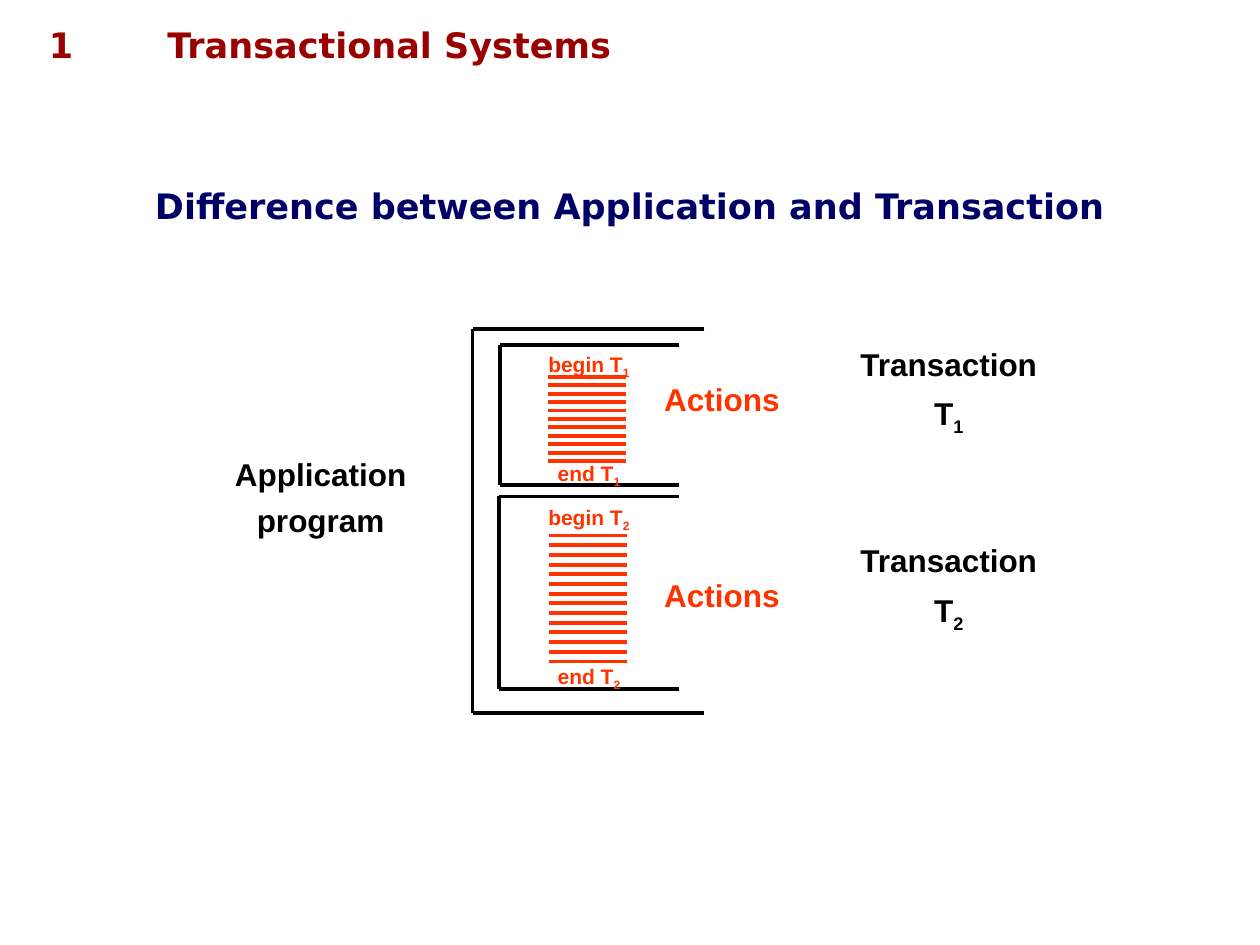
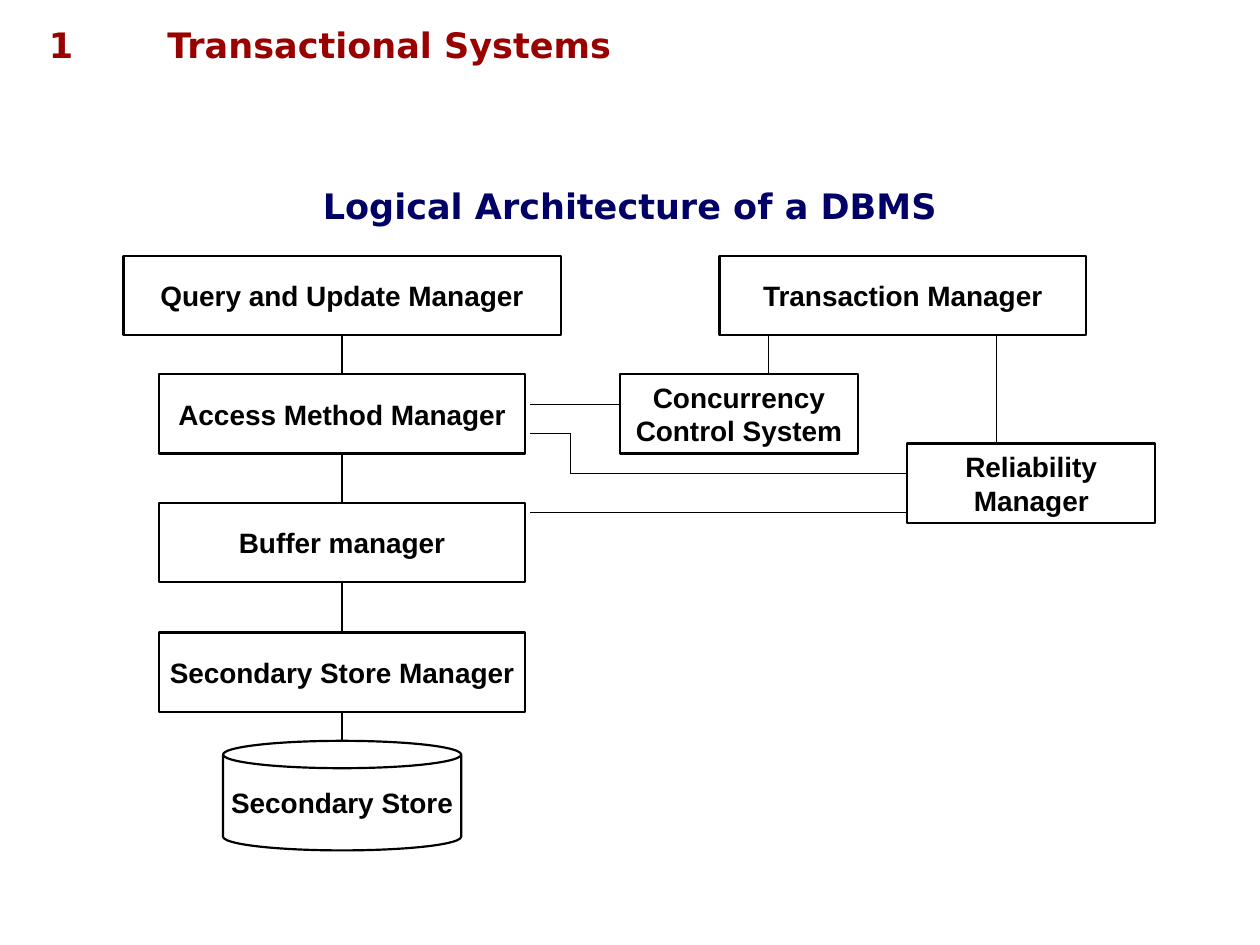
from dataclasses import dataclass

import pptx
import pptx.dml.color
import pptx.enum.shapes
import pptx.enum.text
import pptx.oxml
import pptx.oxml.ns
import pptx.presentation
import pptx.shapes.autoshape
import pptx.shapes.connector
import pptx.slide
import pptx.text.text
import pptx.util

Inches = pptx.util.Inches
RGBColor = pptx.dml.color.RGBColor
Align = pptx.enum.text.PP_ALIGN
Anchor = pptx.enum.text.MSO_ANCHOR
Preset = pptx.enum.shapes.MSO_SHAPE

BLACK = RGBColor(0x00, 0x00, 0x00)
DARK_RED = RGBColor(0x99, 0x00, 0x00)
NAVY = RGBColor(0x00, 0x00, 0x66)
ORANGE = RGBColor(0xFF, 0x33, 0x00)

HEADING_FONT = "DejaVu Sans"
BODY_FONT = "Arial"
BOTTOM, TOP = 2, 0


@dataclass(frozen=True)
class TextStyle:
    font: str
    size: float
    color: RGBColor
    align: Align = Align.CENTER
    line_spacing: float = 1.0
    space_before: float = 0


HEADER = TextStyle(HEADING_FONT, 20, DARK_RED, Align.LEFT)
CHAPTER = TextStyle(HEADING_FONT, 20, DARK_RED)
TITLE = TextStyle(HEADING_FONT, 20, NAVY)
LABEL = TextStyle(BODY_FONT, 18, BLACK, line_spacing=0.9, space_before=6.8)
ACTIONS = TextStyle(BODY_FONT, 18, ORANGE, line_spacing=0.9)
MARKER = TextStyle(BODY_FONT, 12, ORANGE, line_spacing=0.9)
COMPONENT = TextStyle(BODY_FONT, 16, BLACK)


@dataclass(frozen=True)
class Box:
    left: float
    top: float
    width: float
    height: float


@dataclass(frozen=True)
class Bracket:
    left: float
    top: float
    right: float
    bottom: float


@dataclass(frozen=True)
class ActionLines:
    left: float
    first: float
    last: float
    count: int


@dataclass(frozen=True)
class Transaction:
    number: int
    bracket: Bracket
    begin_top: float
    end_top: float
    lines: ActionLines
    actions_top: float
    label_top: float


@dataclass(frozen=True)
class Component:
    text: str
    box: Box
    preset: Preset = Preset.RECTANGLE


@dataclass(frozen=True)
class Line:
    x1: float
    y1: float
    x2: float
    y2: float


PROGRAM = Bracket(3.75, 2.61, 5.59, 5.66)
TRANSACTIONS = (
    Transaction(1, Bracket(3.97, 2.74, 5.39, 3.85), 2.74, 3.61,
                ActionLines(4.35, 2.99, 3.66, 11), 3.0, 2.72),
    Transaction(2, Bracket(3.96, 3.94, 5.39, 5.47), 3.96, 5.22,
                ActionLines(4.36, 4.25, 5.25, 14), 4.56, 4.28),
)

STACK = (
    Component("Query and Update Manager", Box(0.98, 2.03, 3.47, 0.63)),
    Component("Access Method Manager", Box(1.26, 2.97, 2.91, 0.63)),
    Component("Buffer manager", Box(1.26, 3.99, 2.91, 0.63)),
    Component("Secondary Store Manager", Box(1.26, 5.02, 2.91, 0.63)),
    Component("Secondary Store", Box(1.77, 5.88, 1.89, 0.87), Preset.CAN),
)
CONTROL = (
    Component("Transaction Manager", Box(5.71, 2.03, 2.91, 0.63)),
    Component("Concurrency\nControl System", Box(4.92, 2.97, 1.89, 0.63)),
    Component("Reliability\nManager", Box(7.2, 3.52, 1.97, 0.63)),
)
CONTROL_LINES = (
    Line(6.1, 2.66, 6.1, 2.97),
    Line(7.91, 2.66, 7.91, 3.52),
    Line(4.21, 3.21, 4.92, 3.21),
    Line(4.21, 3.44, 4.53, 3.44),
    Line(4.53, 3.44, 4.53, 3.76),
    Line(4.53, 3.76, 7.2, 3.76),
    Line(4.21, 4.07, 7.2, 4.07),
)


def write_text(frame: pptx.text.text.TextFrame, text: str, style: TextStyle) -> None:
    for index, line in enumerate(text.split("\n")):
        paragraph = frame.add_paragraph() if index else frame.paragraphs[0]
        paragraph.alignment = style.align
        paragraph.line_spacing = style.line_spacing
        if index:
            paragraph.space_before = pptx.util.Pt(style.space_before)
        base, _, subscript = line.partition("_")
        paragraph.add_run().text = base
        if subscript:
            run = paragraph.add_run()
            run.text = subscript
            run._r.get_or_add_rPr().set("baseline", "-25000")
        font = paragraph.font
        font.name = style.font
        font.size = pptx.util.Pt(style.size)
        font.bold = True
        font.color.rgb = style.color


def add_text(slide: pptx.slide.Slide, box: Box, text: str,
             style: TextStyle) -> pptx.text.text.TextFrame:
    shape = slide.shapes.add_textbox(
        Inches(box.left), Inches(box.top), Inches(box.width), Inches(box.height))
    frame = shape.text_frame
    frame.word_wrap = True
    write_text(frame, text, style)
    return frame


def add_line(slide: pptx.slide.Slide, line: Line, width: float,
             color: RGBColor = BLACK) -> pptx.shapes.connector.Connector:
    connector = slide.shapes.add_connector(
        pptx.enum.shapes.MSO_CONNECTOR.STRAIGHT,
        Inches(line.x1), Inches(line.y1), Inches(line.x2), Inches(line.y2))
    connector.line.color.rgb = color
    connector.line.width = pptx.util.Pt(width)
    properties = connector._element.spPr
    properties.append(pptx.oxml.parse_xml(
        f"<a:effectLst {pptx.oxml.ns.nsdecls('a')}/>"))
    return connector


def add_bracket(slide: pptx.slide.Slide, bracket: Bracket) -> None:
    left, top, right, bottom = bracket.left, bracket.top, bracket.right, bracket.bottom
    add_line(slide, Line(right, top, left, top), 2)
    add_line(slide, Line(left, top, left, bottom), 2)
    add_line(slide, Line(left, bottom, right, bottom), 2)


def add_transaction(slide: pptx.slide.Slide, transaction: Transaction) -> None:
    number = transaction.number
    add_bracket(slide, transaction.bracket)
    for word, top in (("begin", transaction.begin_top), ("end", transaction.end_top)):
        add_text(slide, Box(3.94, top, 1.47, 0.31), f"{word} T_{number}", MARKER)
    lines = transaction.lines
    pitch = (lines.last - lines.first) / (lines.count - 1)
    for index in range(lines.count):
        y = lines.first + index * pitch
        add_line(slide, Line(lines.left, y, lines.left + 0.62, y), 2.25, ORANGE)
    add_text(slide, Box(4.86, transaction.actions_top, 1.74, 0.37), "Actions", ACTIONS)
    add_text(slide, Box(6.41, transaction.label_top, 2.24, 0.77),
             f"Transaction\nT_{number}", LABEL)


def add_component(slide: pptx.slide.Slide,
                  component: Component) -> pptx.shapes.autoshape.Shape:
    box = component.box
    shape = slide.shapes.add_shape(
        component.preset, Inches(box.left), Inches(box.top),
        Inches(box.width), Inches(box.height))
    shape.shadow.inherit = False
    shape.fill.background()
    shape.line.color.rgb = BLACK
    shape.line.width = pptx.util.Pt(1.25)
    frame = shape.text_frame
    frame.word_wrap = False
    frame.vertical_anchor = Anchor.MIDDLE
    write_text(frame, component.text, COMPONENT)
    return shape


def add_titled_slide(presentation: pptx.presentation.Presentation,
                     title: str) -> pptx.slide.Slide:
    slide = presentation.slides.add_slide(presentation.slide_layouts[6])
    add_text(slide, Box(1.23, 0.14, 8.51, 0.44), "Transactional Systems", HEADER)
    add_text(slide, Box(0.13, 0.14, 0.71, 0.44), "1", CHAPTER)
    frame = add_text(slide, Box(0, 1.48, 10, 0.3), title, TITLE)
    frame.vertical_anchor = Anchor.MIDDLE
    frame.margin_top = frame.margin_bottom = 0
    return slide


def build_difference_slide(presentation: pptx.presentation.Presentation) -> None:
    slide = add_titled_slide(
        presentation, "Difference between Application and Transaction")
    add_bracket(slide, PROGRAM)
    for transaction in TRANSACTIONS:
        add_transaction(slide, transaction)
    add_text(slide, Box(1.45, 3.6, 2.19, 0.74), "Application\nprogram", LABEL)


def build_architecture_slide(presentation: pptx.presentation.Presentation) -> None:
    slide = add_titled_slide(presentation, "Logical Architecture of a DBMS")
    shapes = [add_component(slide, component) for component in STACK]
    for index, (upper, lower) in enumerate(zip(STACK, STACK[1:])):
        center = upper.box.left + upper.box.width / 2
        connector = add_line(slide, Line(center, upper.box.top + upper.box.height,
                                         center, lower.box.top), 1.25)
        connector.begin_connect(shapes[index], BOTTOM)
        if lower.preset == Preset.RECTANGLE:
            connector.end_connect(shapes[index + 1], TOP)
    for component in CONTROL:
        add_component(slide, component)
    for line in CONTROL_LINES:
        add_line(slide, line, 0.75)


def main() -> None:
    presentation = pptx.Presentation()
    presentation.slide_width = Inches(10)
    presentation.slide_height = Inches(7.5)
    build_difference_slide(presentation)
    build_architecture_slide(presentation)
    presentation.save("out.pptx")


if __name__ == "__main__":
    main()
